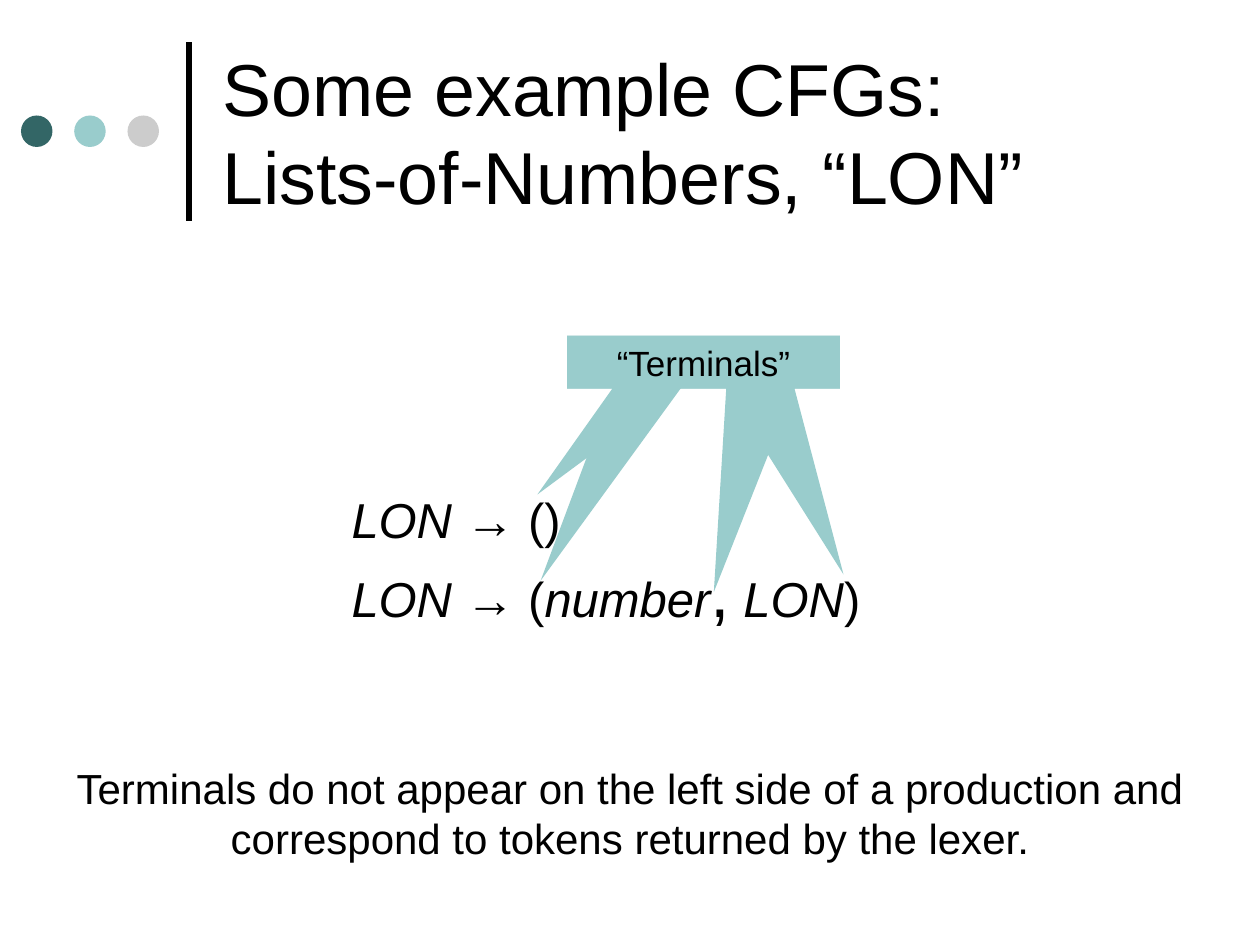
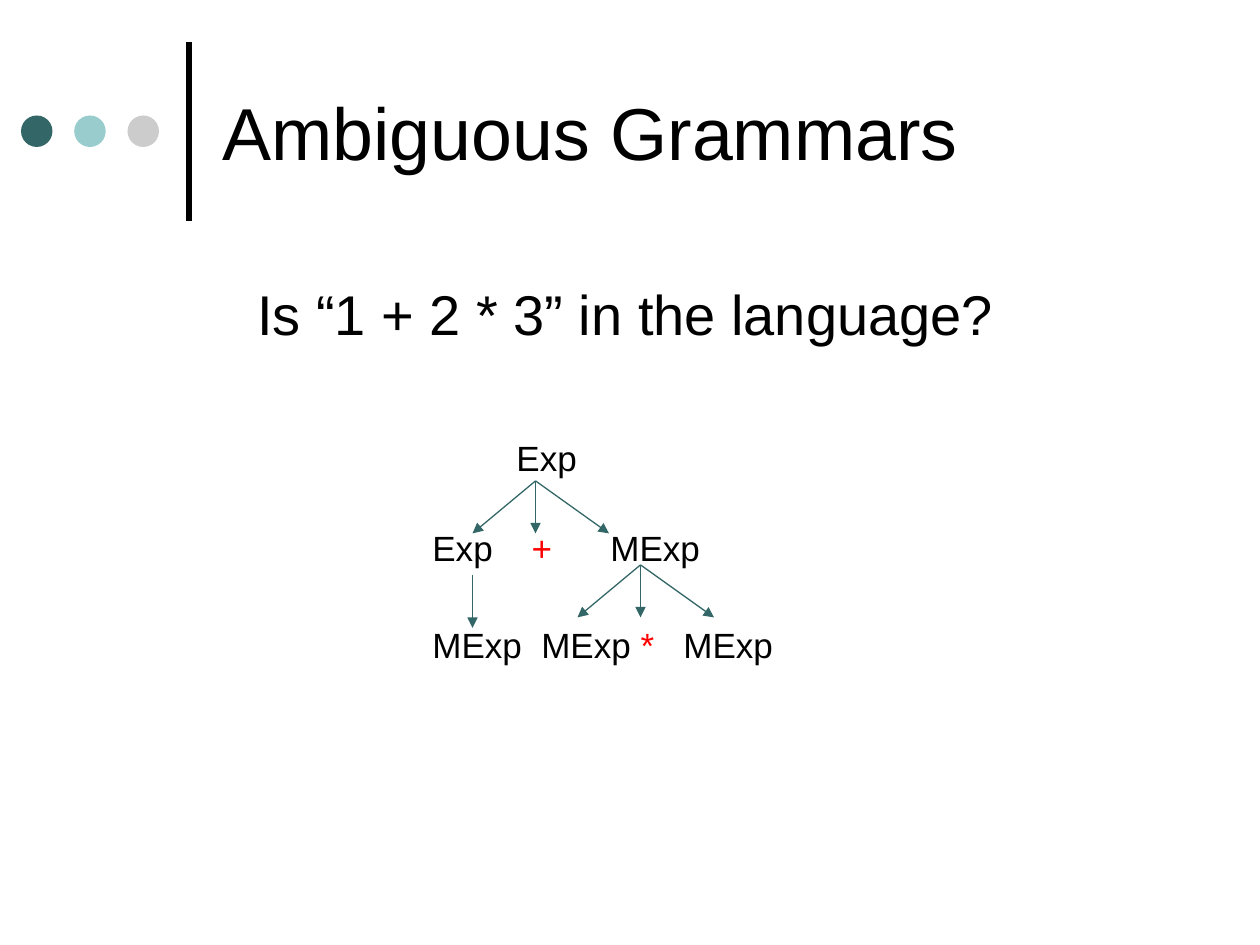
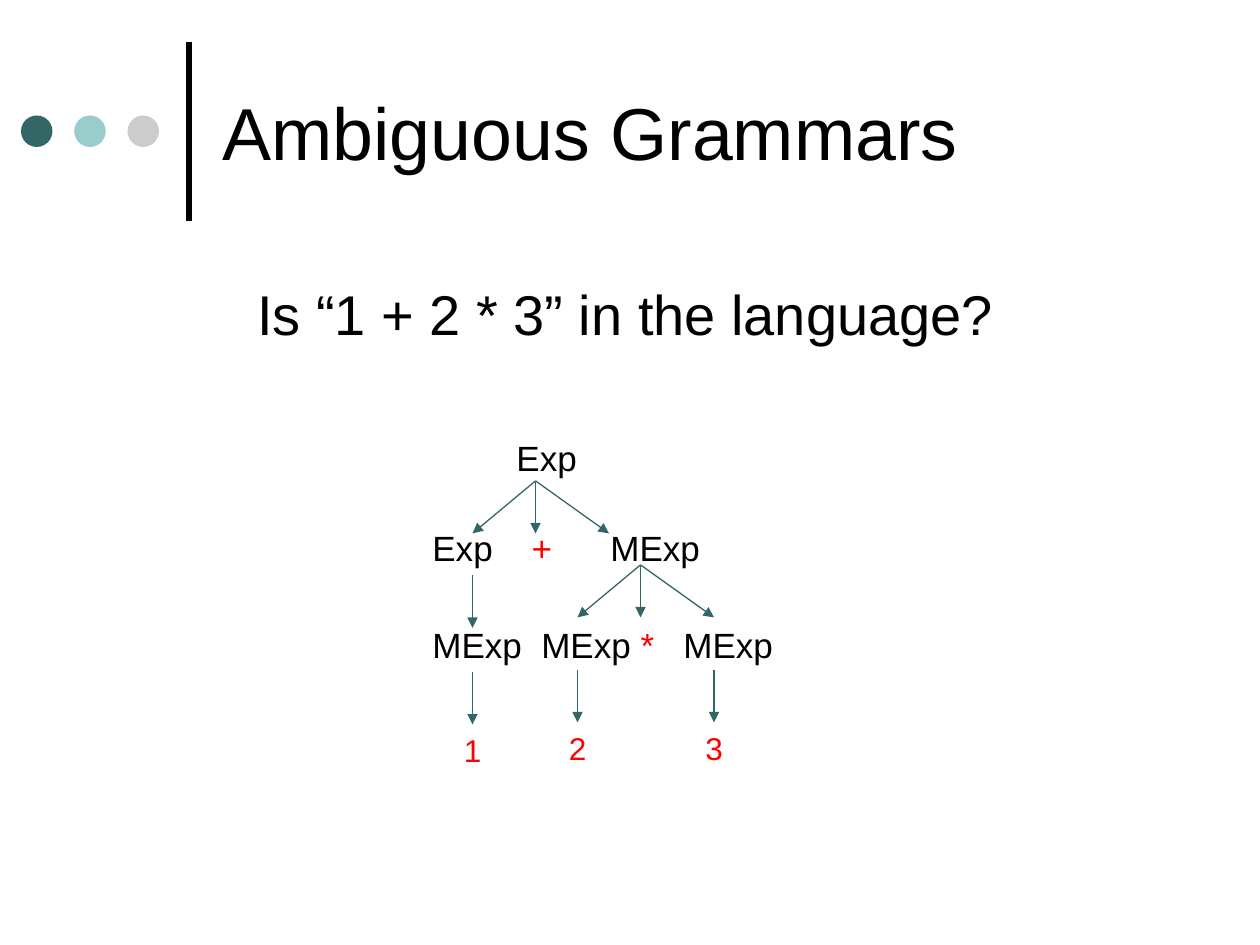
from lxml.etree import SubElement
from pptx import Presentation
from pptx.dml.color import RGBColor
from pptx.enum.shapes import MSO_CONNECTOR, MSO_SHAPE
from pptx.enum.text import MSO_ANCHOR, PP_ALIGN
from pptx.oxml.ns import qn
from pptx.util import Inches, Pt

FONT = "Arial"
BLACK = RGBColor(0x00, 0x00, 0x00)
TEAL = RGBColor(0x33, 0x66, 0x66)
AQUA = RGBColor(0x99, 0xCC, 0xCC)
GRAY = RGBColor(0xCC, 0xCC, 0xCC)
RED = RGBColor(0xFF, 0x00, 0x00)

# The slide is a grid of 120 columns by 90 rows; boxes are (left, top, width, height) in cells
COLUMNS, ROWS = 120, 90
SLIDE_WIDTH, SLIDE_HEIGHT = Inches(10), Inches(7.5)

TITLE_BOX = (20, 2.5, 92, 20)
QUESTION_BOX = (23.3, 26, 72.6, 7.7)
CALLOUT_BOX = (54, 32, 26, 5)
PRODUCTIONS_BOX = (32.3, 46, 50.9, 14.9)
REMARK_BOX = (0, 72, 120, 10.8)
TREE_ORIGIN = (40, 41)
ARROW_DROP = 5


def cells(*lengths):
    """Turn alternating column and row counts into slide lengths."""
    units = (SLIDE_WIDTH / COLUMNS, SLIDE_HEIGHT / ROWS)
    return [round(length * units[i % 2]) for i, length in enumerate(lengths)]


def add_text(slide, box, lines, size, color=BLACK, align=PP_ALIGN.LEFT,
             anchor=MSO_ANCHOR.TOP, wrap=True, tabs=()):
    """Each line is a list of (text, run formats) pairs."""
    frame = slide.shapes.add_textbox(*cells(*box)).text_frame
    frame.word_wrap = wrap
    frame.vertical_anchor = anchor
    for i, line in enumerate(lines):
        paragraph = frame.add_paragraph() if i else frame.paragraphs[0]
        paragraph.alignment = align
        if tabs:
            tab_list = SubElement(paragraph._p.get_or_add_pPr(), qn("a:tabLst"))
            for tab in tabs:
                SubElement(tab_list, qn("a:tab"), pos=str(cells(tab)[0]), algn="l")
        font = paragraph.font
        font.name, font.size, font.color.rgb = FONT, Pt(size), color
        for text, formats in line:
            if text == "\n":
                paragraph.add_line_break()
                continue
            run = paragraph.add_run()
            run.text = text
            if "italic" in formats:
                run.font.italic = formats["italic"]
            if "size" in formats:
                run.font.size = Pt(formats["size"])
            if "color" in formats:
                run.font.color.rgb = formats["color"]


def add_solid(slide, preset, box, fill):
    solid = slide.shapes.add_shape(preset, *cells(*box))
    solid.shadow.inherit = False
    solid.fill.solid()
    solid.fill.fore_color.rgb = fill
    solid.line.fill.background()
    return solid


def add_line(slide, start, end, color, width, arrow=False):
    line = slide.shapes.add_connector(MSO_CONNECTOR.STRAIGHT, *cells(*start, *end))
    line.line.color.rgb = color
    line.line.width = Pt(width)
    properties = line.element.spPr
    if arrow:
        SubElement(properties.find(qn("a:ln")), qn("a:tailEnd"), type="triangle")
    SubElement(properties, qn("a:effectLst"))


def add_titled_slide(deck, *title_lines):
    slide = deck.slides.add_slide(deck.slide_layouts[6])
    # Rule and three dots beside the title
    add_line(slide, (18, 21), (18, 4), BLACK, 3)
    for i, color in enumerate((TEAL, AQUA, GRAY)):
        add_solid(slide, MSO_SHAPE.OVAL, (2 + 5.07 * i, 11, 3, 3), color)
    # Title
    runs = [(title_lines[0], {})]
    for text in title_lines[1:]:
        runs += [("\n", {}), (text, {})]
    add_text(slide, TITLE_BOX, [runs], 42, anchor=MSO_ANCHOR.MIDDLE)
    return slide


def add_terminals_callout(slide, box):
    """One label whose tails point at the parentheses and the comma."""
    _, _, width, height = box
    tips = [(-2.83, 15.11), (-2.52, 23.33), (26.34, 22.73), (13.99, 24.4)]
    for tip_x, tip_y in tips:
        callout = add_solid(slide, MSO_SHAPE.RECTANGULAR_CALLOUT, box, AQUA)
        callout.adjustments[0] = tip_x / width - 0.5
        callout.adjustments[1] = tip_y / height - 0.5
    label = callout.text_frame.paragraphs[0]
    label.text = "“Terminals”"
    label.alignment = PP_ALIGN.CENTER
    label.font.name, label.font.size, label.font.color.rgb = FONT, Pt(20), BLACK


def add_productions(slide, box):
    italic = {"italic": True}
    add_text(slide, box, [
        [("LON ", italic), ("→ ()", {})],
        [("LON ", italic), ("→ (", {}), ("number", italic), (",", {"size": 40}),
         (" ", {}), ("LON", italic), (")", {})],
    ], 28, wrap=False)


def add_parse_tree(slide, origin, with_numbers=False):
    left, top = origin
    red = {"color": RED}

    # Levels of the tree: offset, width, symbols, tab stops
    levels = [
        (8, 0, 10, [("Exp", {})], ()),
        (0, 8.55, 29, [("Exp\t", {}), ("+", red), ("\tMExp", {})], (9.45, 16.95)),
        (0, 17.8, 39, [("MExp\tMExp\t", {}), ("*", red), ("\tMExp", {})],
         (10.37, 19.82, 23.9)),
    ]
    for x, y, width, symbols, tabs in levels:
        add_text(slide, (left + x, top + y, width, 5.3), [symbols], 20, tabs=tabs)

    # Branches: parent column, row, child columns
    branches = [(11, 4.8, (5, 18, 11)), (21, 12.8, (15, 28, 21)), (5, 13.8, (5,))]
    numbers = [("1", 5, 23), ("2", 15, 22.8), ("3", 28, 22.8)] if with_numbers else []
    branches += [(x, y, (x,)) for _, x, y in numbers]
    for parent, y, children in branches:
        for child in children:
            add_line(slide, (left + parent, top + y),
                     (left + child, top + y + ARROW_DROP), TEAL, 0.75, arrow=True)

    # Numbers under their arrows
    for number, x, y in numbers:
        add_text(slide, (left + x - 2, top + y + ARROW_DROP, 4, 4.8),
                 [[(number, {})]], 18, RED, wrap=False)


def build_terminals_slide(deck):
    slide = add_titled_slide(deck, "Some example CFGs:", "Lists-of-Numbers, “LON”")
    add_terminals_callout(slide, CALLOUT_BOX)
    add_productions(slide, PRODUCTIONS_BOX)
    remark = ("Terminals do not appear on the left side of a production "
              "and correspond to tokens returned by the lexer.")
    add_text(slide, REMARK_BOX, [[(remark, {})]], 24, align=PP_ALIGN.CENTER)


def build_ambiguity_slide(deck, with_numbers):
    slide = add_titled_slide(deck, "Ambiguous Grammars")
    add_text(slide, QUESTION_BOX, [[("Is “1 + 2 * 3” in the language?", {})]], 32,
             wrap=False)
    add_parse_tree(slide, TREE_ORIGIN, with_numbers)


def main():
    deck = Presentation()
    deck.slide_width, deck.slide_height = SLIDE_WIDTH, SLIDE_HEIGHT
    build_terminals_slide(deck)
    for with_numbers in (False, True):
        build_ambiguity_slide(deck, with_numbers)
    deck.save("out.pptx")


if __name__ == "__main__":
    main()
